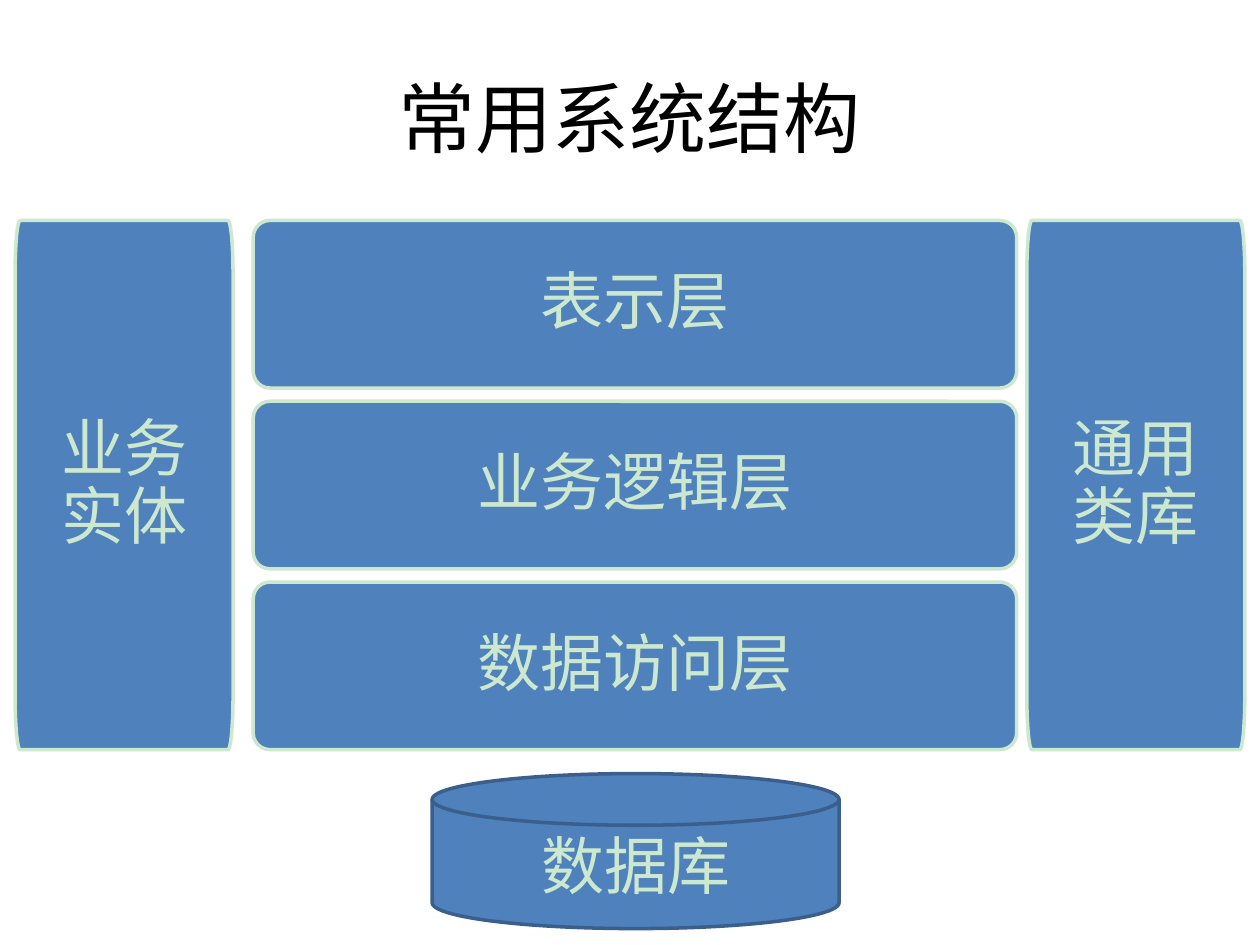
"""Build a slide of a layered system between two side pillars and a database."""
import math
from dataclasses import dataclass

import pptx
import pptx.dml.color
import pptx.enum.shapes
import pptx.enum.text
import pptx.util

COLUMNS, ROWS = 100, 75
SLIDE_WIDTH, SLIDE_HEIGHT = pptx.util.Inches(10), pptx.util.Inches(7.5)
PRESET = pptx.enum.shapes.MSO_SHAPE


@dataclass(frozen=True)
class Theme:
    background: str = "FFFFFF"
    title: str = "000000"
    fill: str = "4F81BD"
    pale: str = "CCE8CF"
    disk_line: str = "3A5F8C"
    title_font: str = "Calibri"
    body_font: str = "Noto Sans CJK SC"
    title_size: float = 44
    body_size: float = 36
    line_width: float = 2


@dataclass(frozen=True)
class Area:
    column: float
    row: float
    columns: float
    rows: float

    def box(self) -> tuple[int, int, int, int]:
        return (across(self.column), down(self.row), across(self.columns), down(self.rows))


@dataclass(frozen=True)
class Block:
    text: str
    area: Area


THEME = Theme()
STACK = Area(20.1, 17.5, 60.6, 42)
LAYER_ROWS = 13.3
LAYERS = ("表示层", "业务逻辑层", "数据访问层")
LAYER_PITCH = (STACK.rows - LAYER_ROWS) / (len(LAYERS) - 1)
PILLARS = (
    Block("业务实体", Area(1.2, STACK.row, 17.3, STACK.rows)),
    Block("通用类库", Area(81.5, STACK.row, 17.3, STACK.rows)),
)
PILLAR_CORNER = (0.4, 4.2)
DATABASE = Block("数据库", Area(34.3, 61.4, 32.3, 12.3))
TITLE = Block("常用系统结构", Area(5, 3, 90, 12.5))


def across(columns: float) -> int:
    return round(SLIDE_WIDTH * columns / COLUMNS)


def down(rows: float) -> int:
    return round(SLIDE_HEIGHT * rows / ROWS)


def color(value: str) -> pptx.dml.color.RGBColor:
    return pptx.dml.color.RGBColor.from_string(value)


def write(shape, text: str, font: str, size: float, ink: str):
    frame = shape.text_frame
    frame.word_wrap = True
    frame.vertical_anchor = pptx.enum.text.MSO_ANCHOR.MIDDLE
    paragraph = frame.paragraphs[0]
    paragraph.alignment = pptx.enum.text.PP_ALIGN.CENTER
    run = paragraph.add_run()
    run.text = text
    run.font.name = font
    run.font.size = pptx.util.Pt(size)
    run.font.color.rgb = color(ink)
    return paragraph


def dress(shape, text: str, line: str):
    shape.shadow.inherit = False
    shape.fill.solid()
    shape.fill.fore_color.rgb = color(THEME.fill)
    shape.line.color.rgb = color(line)
    shape.line.width = pptx.util.Pt(THEME.line_width)
    return write(shape, text, THEME.body_font, THEME.body_size, THEME.pale)


def dress_panel(shape, text: str) -> None:
    paragraph = dress(shape, text, THEME.pale)
    paragraph.line_spacing = 0.9
    frame = shape.text_frame
    frame.margin_left = frame.margin_right = across(2.5)
    frame.margin_top = frame.margin_bottom = down(2.5)


def pillar_outline(area: Area, steps: int = 8) -> list[tuple[int, int]]:
    radius_x, radius_y = PILLAR_CORNER
    right, bottom = area.column + area.columns, area.row + area.rows
    centers = (
        (right - radius_x, bottom - radius_y),
        (area.column + radius_x, bottom - radius_y),
        (area.column + radius_x, area.row + radius_y),
        (right - radius_x, area.row + radius_y),
    )
    points = []
    for quarter, (center_x, center_y) in enumerate(centers):
        for step in range(steps + 1):
            angle = (quarter + step / steps) * math.pi / 2
            points.append((
                across(center_x + radius_x * math.cos(angle)),
                down(center_y + radius_y * math.sin(angle)),
            ))
    return points


def draw_layer(slide, block: Block) -> None:
    shape = slide.shapes.add_shape(PRESET.ROUNDED_RECTANGLE, *block.area.box())
    shape.adjustments[0] = 0.1
    dress_panel(shape, block.text)


def draw_pillar(slide, block: Block) -> None:
    start, *rest = pillar_outline(block.area)
    builder = slide.shapes.build_freeform(*start)
    builder.add_line_segments(rest, close=True)
    dress_panel(builder.convert_to_shape(), block.text)


def draw_database(slide, block: Block) -> None:
    shape = slide.shapes.add_shape(PRESET.FLOWCHART_MAGNETIC_DISK, *block.area.box())
    dress(shape, block.text, THEME.disk_line)


def draw_title(slide, block: Block) -> None:
    title = slide.shapes.title
    title.left, title.top, title.width, title.height = block.area.box()
    write(title, block.text, THEME.title_font, THEME.title_size, THEME.title)


def main() -> None:
    presentation = pptx.Presentation()
    presentation.slide_width, presentation.slide_height = SLIDE_WIDTH, SLIDE_HEIGHT
    slide = presentation.slides.add_slide(presentation.slide_layouts.get_by_name("Title Only"))
    slide.background.fill.solid()
    slide.background.fill.fore_color.rgb = color(THEME.background)
    draw_title(slide, TITLE)
    for index, text in enumerate(LAYERS):
        row = STACK.row + index * LAYER_PITCH
        draw_layer(slide, Block(text, Area(STACK.column, row, STACK.columns, LAYER_ROWS)))
    for pillar in PILLARS:
        draw_pillar(slide, pillar)
    draw_database(slide, DATABASE)
    presentation.save("out.pptx")


if __name__ == "__main__":
    main()
